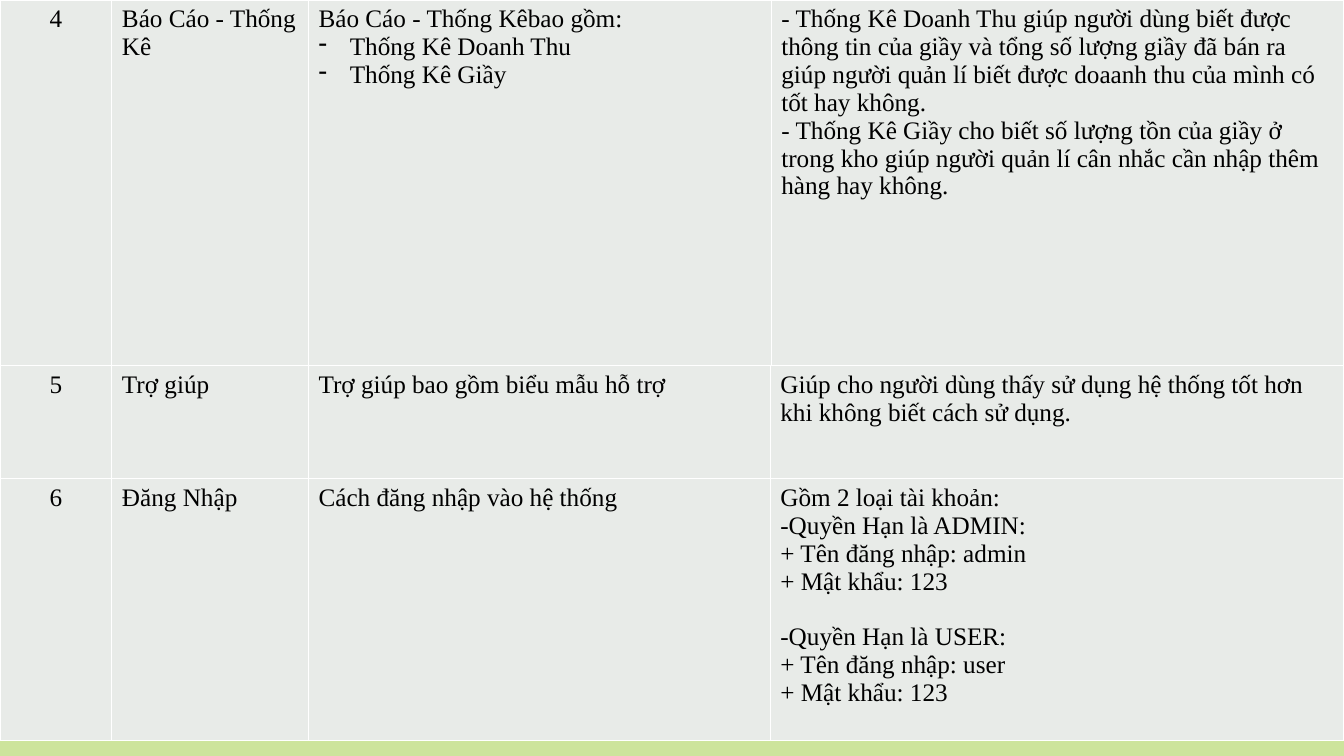
from dataclasses import dataclass

from lxml import etree
from pptx import Presentation
from pptx.dml.color import RGBColor
from pptx.enum.shapes import MSO_SHAPE
from pptx.enum.text import PP_ALIGN
from pptx.oxml.ns import qn
from pptx.util import Inches, Pt

RECTANGLE = MSO_SHAPE.RECTANGLE
LEFT, CENTER = PP_ALIGN.LEFT, PP_ALIGN.CENTER
COLORS = {"backdrop": "CDE49C", "cell": "E8EBE8", "border": "FFFFFF", "text": "000000"}
FONT_FORMAT = {"name": "Times New Roman", "size": Pt(18), "bold": False}
TABLE_FORMAT = {"first_row": False, "horz_banding": False}
BORDER_SIDES = ("lnL", "lnR", "lnT", "lnB")
SLIDE_WIDTH, SLIDE_HEIGHT = 13.33, 7.5
NUMBER_WIDTH, NAME_WIDTH = 1.11, 1.95
DASH_INDENT = 0.31


@dataclass(frozen=True)
class Line:
    text: str
    dashed: bool = False
    space_before: int = 0


@dataclass(frozen=True)
class Feature:
    number: str
    name: str
    content: list[Line]
    purpose: list[Line]
    top: float
    height: float
    content_width: float = 4.58


FEATURES = [
    Feature(
        "4", "Báo Cáo - Thống Kê",
        [Line("Báo Cáo - Thống Kêbao gồm:"),
         Line("Thống Kê Doanh Thu", dashed=True),
         Line("Thống Kê Giầy", dashed=True)],
        [Line("- Thống Kê Doanh Thu giúp người dùng biết được thông tin của giầy "
              "và tổng số lượng giầy đã bán ra giúp người quản lí biết được "
              "doaanh thu của mình có tốt hay không."),
         Line("- Thống Kê Giầy cho biết số lượng tồn của giầy ở trong kho giúp "
              "người quản lí cân nhắc cần nhập thêm hàng hay không.")],
        top=0, height=3.63, content_width=4.59,
    ),
    Feature(
        "5", "Trợ giúp",
        [Line("Trợ giúp bao gồm biểu mẫu hỗ trợ")],
        [Line("Giúp cho người dùng thấy sử dụng hệ thống tốt hơn "
              "khi không biết cách sử dụng.")],
        top=3.63, height=1.17,
    ),
    Feature(
        "6", "Đăng Nhập",
        [Line("Cách đăng nhập vào hệ thống")],
        [Line("Gồm 2 loại tài khoản:"),
         Line("-Quyền Hạn là ADMIN:"),
         Line("+ Tên đăng nhập: admin"),
         Line("+ Mật khẩu: 123"),
         Line("-Quyền Hạn là USER:", space_before=20),
         Line("+ Tên đăng nhập: user"),
         Line("+ Mật khẩu: 123")],
        top=4.75, height=2.6,
    ),
]


def rgb(role: str) -> RGBColor:
    return RGBColor.from_string(COLORS[role])


def apply_format(target: object, values: dict) -> None:
    for attribute, value in values.items():
        setattr(target, attribute, value)


def add_borders(cell) -> None:
    properties = cell._tc.get_or_add_tcPr()
    for side in BORDER_SIDES:
        border = etree.SubElement(properties, qn(f"a:{side}"), w=str(Pt(1)))
        fill = etree.SubElement(border, qn("a:solidFill"))
        etree.SubElement(fill, qn("a:srgbClr"), val=COLORS["border"])


def add_dash(paragraph) -> None:
    properties = paragraph._p.get_or_add_pPr()
    properties.set("marL", str(Inches(DASH_INDENT)))
    properties.set("indent", str(Inches(-DASH_INDENT)))
    etree.SubElement(properties, qn("a:buChar"), char="-")


def fill_cell(cell, lines: list[Line], alignment: PP_ALIGN) -> None:
    add_borders(cell)
    cell.fill.solid()
    cell.fill.fore_color.rgb = rgb("cell")
    frame = cell.text_frame
    for index, line in enumerate(lines):
        paragraph = frame.add_paragraph() if index else frame.paragraphs[0]
        paragraph.alignment = alignment
        if line.space_before:
            paragraph.space_before = Pt(line.space_before)
        if line.dashed:
            add_dash(paragraph)
        run = paragraph.add_run()
        run.text = line.text
        apply_format(run.font, FONT_FORMAT)
        run.font.color.rgb = rgb("text")


def add_feature(slide, feature: Feature) -> None:
    widths = [NUMBER_WIDTH, NAME_WIDTH, feature.content_width]
    widths.append(SLIDE_WIDTH - sum(widths))
    table = slide.shapes.add_table(
        1, len(widths), 0, Inches(feature.top),
        Inches(SLIDE_WIDTH), Inches(feature.height),
    ).table
    apply_format(table, TABLE_FORMAT)
    for column, width in zip(table.columns, widths):
        column.width = Inches(width)
    contents = [[Line(feature.number)], [Line(feature.name)],
                feature.content, feature.purpose]
    for index, lines in enumerate(contents):
        fill_cell(table.cell(0, index), lines, LEFT if index else CENTER)


def add_backdrop(slide) -> None:
    backdrop = slide.shapes.add_shape(
        RECTANGLE, 0, 0, Inches(SLIDE_WIDTH), Inches(SLIDE_HEIGHT))
    backdrop.shadow.inherit = False
    backdrop.fill.solid()
    backdrop.fill.fore_color.rgb = rgb("backdrop")
    backdrop.line.fill.background()


def main() -> None:
    presentation = Presentation()
    presentation.slide_width = Inches(SLIDE_WIDTH)
    presentation.slide_height = Inches(SLIDE_HEIGHT)
    slide = presentation.slides.add_slide(presentation.slide_layouts[6])
    add_backdrop(slide)
    for feature in FEATURES:
        add_feature(slide, feature)
    presentation.save("out.pptx")


if __name__ == "__main__":
    main()
